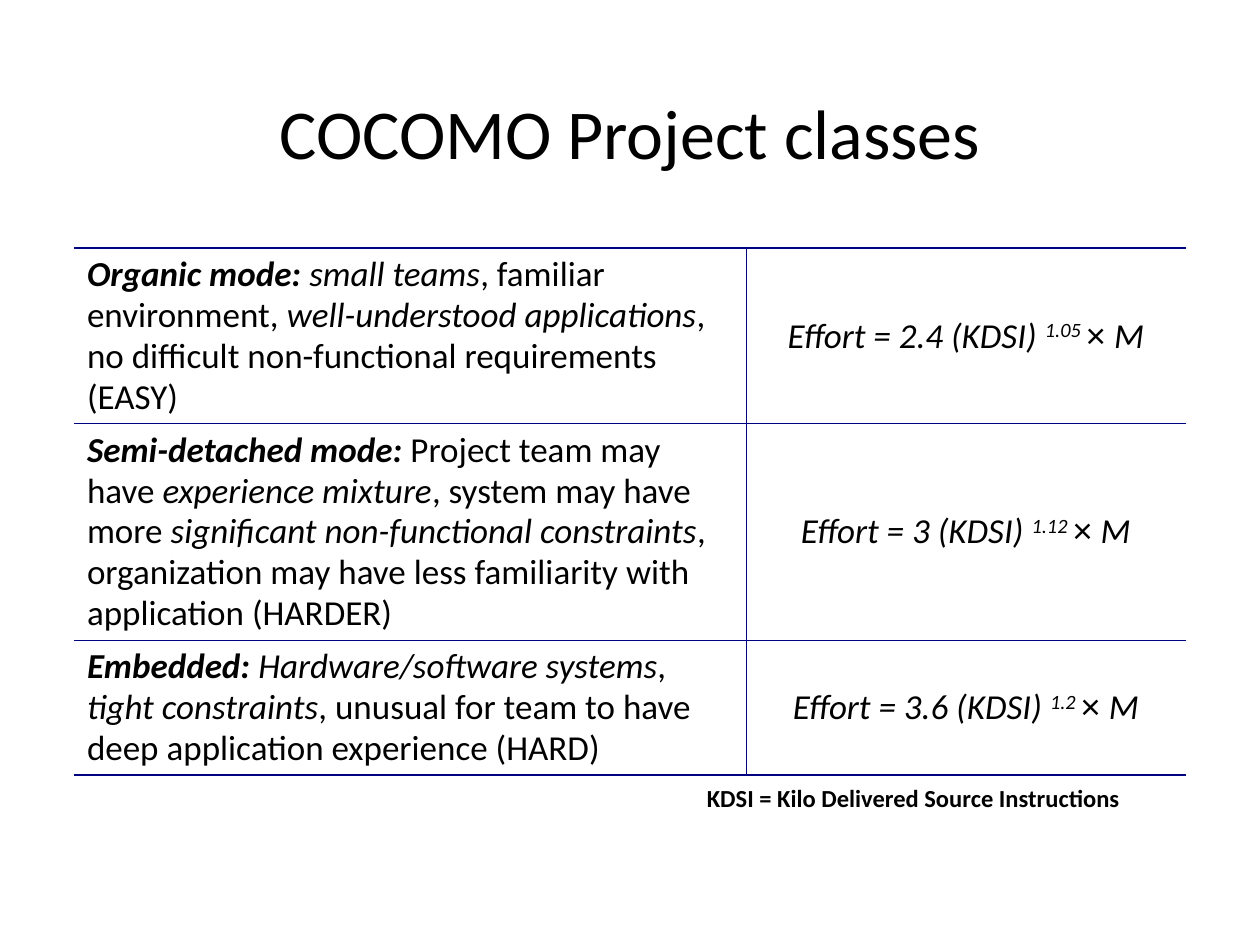
from lxml import etree
from pptx import Presentation
from pptx.dml.color import RGBColor
from pptx.enum.text import MSO_ANCHOR, PP_ALIGN
from pptx.oxml.ns import qn
from pptx.util import Cm, Pt

CENTER, LEFT = PP_ALIGN.CENTER, PP_ALIGN.LEFT
TOP, MIDDLE = MSO_ANCHOR.TOP, MSO_ANCHOR.MIDDLE
BLACK = RGBColor(0x00, 0x00, 0x00)
NAVY = RGBColor(0x00, 0x02, 0x7F)
BODY_FONT, SYMBOL_FONT = "Calibri", "Arial"
THIN, THICK = Pt(0.45), Pt(1.08)
COLUMN_WIDTHS = (Cm(13.54), Cm(8.86))
ROW_HEIGHTS = (Cm(3.49), Cm(4.28), Cm(2.68))

# Each class: description as (text, style) runs, coefficient, exponent.
# Style letters: b = bold, i = italic.
PROJECT_CLASSES = [
    ([("Organic mode: ", "bi"), ("small teams", "i"),
      (", familiar environment, ", ""),
      ("well-understood applications", "i"),
      (", no difficult non-functional requirements (EASY)", "")],
     "2.4", "1.05"),
    ([("Semi-detached mode:", "bi"), (" Project team may have ", ""),
      ("experience mixture", "i"), (", system may have more ", ""),
      ("significant non-functional constraints", "i"),
      (", organization may have less familiarity with application (HARDER)", "")],
     "3", "1.12"),
    ([("Embedded: ", "bi"), ("Hardware/software systems", "i"), (", ", ""),
      ("tight constraints", "i"),
      (", unusual for team to have deep application experience (HARD)", "")],
     "3.6", "1.2"),
]


def format_paragraph(paragraph, size, alignment=LEFT):
    paragraph.alignment = alignment
    paragraph.font.name = BODY_FONT
    paragraph.font.size = Pt(size)
    paragraph.font.color.rgb = BLACK


def add_run(paragraph, text, style=""):
    run = paragraph.add_run()
    run.text = text
    run.font.bold = "b" in style
    run.font.italic = "i" in style
    return run


def add_title(slide, text):
    title = slide.shapes.title
    title.left, title.top, title.width, title.height = (
        Cm(1.9), Cm(1.07), Cm(21.6), Cm(3.18))
    title.text_frame.text = text
    title.text_frame.vertical_anchor = MIDDLE
    format_paragraph(title.text_frame.paragraphs[0], 40, CENTER)


def set_border(cell, side, width):
    """Draw one side (L, R, T or B) of a cell; a width of None hides it."""
    properties = cell._tc.get_or_add_tcPr()
    line = etree.SubElement(properties, qn(f"a:ln{side}"))
    if width is None:
        etree.SubElement(line, qn("a:noFill"))
        return
    line.set("w", str(int(width)))
    fill = etree.SubElement(line, qn("a:solidFill"))
    etree.SubElement(fill, qn("a:srgbClr"), val=str(NAVY))


def format_cell(cell, alignment, anchor, borders):
    for side, width in borders.items():
        set_border(cell, side, width)
    cell.fill.background()
    cell.vertical_anchor = anchor
    paragraph = cell.text_frame.paragraphs[0]
    paragraph.line_spacing = 0.95
    format_paragraph(paragraph, 20, alignment)
    return paragraph


def write_effort(paragraph, coefficient, exponent):
    add_run(paragraph, f"Effort = {coefficient} (KDSI) ", "i")
    power = add_run(paragraph, f"{exponent} ", "i")
    power._r.get_or_add_rPr().set("baseline", "30000")
    add_run(paragraph, "×").font.name = SYMBOL_FONT
    add_run(paragraph, " M", "i")


def add_class_table(slide):
    table = slide.shapes.add_table(
        len(PROJECT_CLASSES), len(COLUMN_WIDTHS), Cm(1.5), Cm(5),
        sum(COLUMN_WIDTHS), sum(ROW_HEIGHTS)).table
    table.first_row = table.horz_banding = False
    for column, width in zip(table.columns, COLUMN_WIDTHS):
        column.width = width
    last = len(PROJECT_CLASSES) - 1
    for index, (description, coefficient, exponent) in enumerate(PROJECT_CLASSES):
        table.rows[index].height = ROW_HEIGHTS[index]
        edges = {"T": THICK if index == 0 else THIN,
                 "B": THICK if index == last else THIN}
        mode = format_cell(table.cell(index, 0), LEFT, TOP,
                           {"L": None, "R": THIN, **edges})
        for text, style in description:
            add_run(mode, text, style)
        effort = format_cell(table.cell(index, 1), CENTER, MIDDLE,
                             {"L": THIN, "R": None, **edges})
        write_effort(effort, coefficient, exponent)


def add_footnote(slide, text):
    footnote = slide.shapes.add_textbox(Cm(14), Cm(15.67), Cm(8.86), Cm(0.86))
    footnote.text_frame.word_wrap = False
    paragraph = footnote.text_frame.paragraphs[0]
    paragraph.text = text
    format_paragraph(paragraph, 14)
    paragraph.font.bold = True


def main():
    presentation = Presentation()
    presentation.slide_width, presentation.slide_height = Cm(25.4), Cm(19.05)
    slide = presentation.slides.add_slide(presentation.slide_layouts[5])
    add_title(slide, "COCOMO Project classes")
    add_class_table(slide)
    add_footnote(slide, "KDSI = Kilo Delivered Source Instructions")
    presentation.save("out.pptx")


if __name__ == "__main__":
    main()
